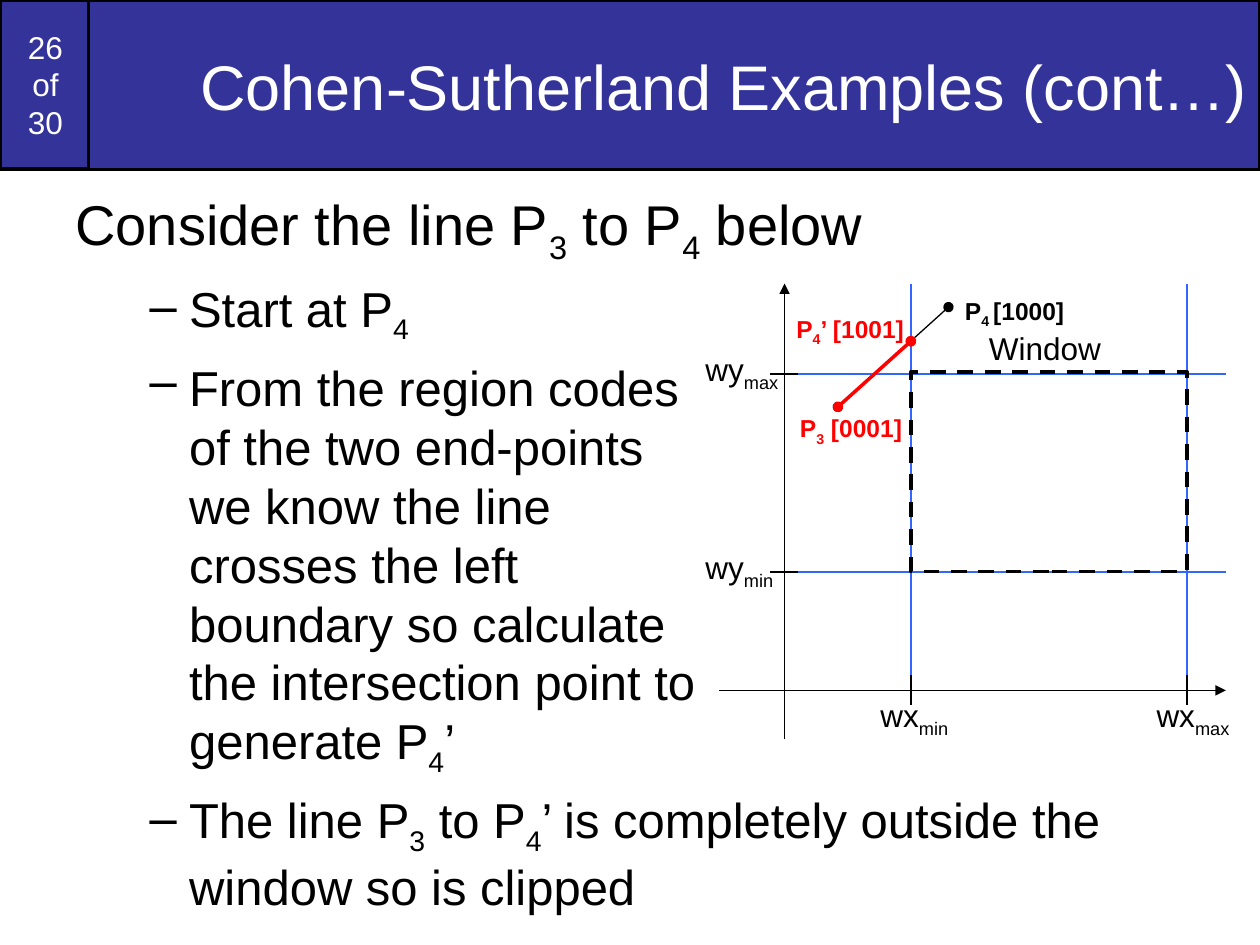
from lxml.etree import SubElement
from pptx import Presentation
from pptx.dml.color import RGBColor
from pptx.enum.dml import MSO_LINE
from pptx.enum.shapes import MSO_CONNECTOR, MSO_SHAPE
from pptx.enum.text import MSO_ANCHOR, MSO_AUTO_SIZE, PP_ALIGN
from pptx.oxml.ns import qn
from pptx.util import Pt

NAVY = RGBColor(0x33, 0x33, 0x99)
BLUE = RGBColor(0x33, 0x66, 0xFF)
RED = RGBColor(0xFF, 0x00, 0x00)
BLACK = RGBColor(0x00, 0x00, 0x00)
WHITE = RGBColor(0xFF, 0xFF, 0xFF)


def write(para, text, size=18, color=BLACK, bold=False, align=PP_ALIGN.LEFT,
          before=0):
    """Fill a paragraph; parts between bars are subscripts, newlines are breaks."""
    para.alignment = align
    para.space_before = Pt(before)
    for part_number, part in enumerate(text.split("|")):
        for line_number, line in enumerate(part.split("\n")):
            if line_number:
                para.add_line_break()
            if not line:
                continue
            span = para.add_run()
            span.text = line
            span.font.name = "Arial"
            span.font.size = Pt(size)
            span.font.bold = bold
            span.font.color.rgb = color
            if part_number % 2:
                span.font._element.set("baseline", "-25000")


def add_dash(para, margin, indent):
    properties = para._p.get_or_add_pPr()
    properties.set("marL", str(Pt(margin)))
    properties.set("indent", str(Pt(indent)))
    SubElement(properties, qn("a:buChar")).set("char", "–")


def place(shape, left, top, width, height):
    shape.left, shape.top = Pt(left), Pt(top)
    shape.width, shape.height = Pt(width), Pt(height)


def paint_banner(shape):
    shape.fill.solid()
    shape.fill.fore_color.rgb = NAVY
    shape.line.color.rgb = BLACK
    shape.line.width = Pt(2)
    frame = shape.text_frame
    frame.word_wrap = True
    frame.auto_size = MSO_AUTO_SIZE.NONE
    frame.vertical_anchor = MSO_ANCHOR.MIDDLE
    return frame.paragraphs[0]


def add_header(page, left, top, width, height):
    # Title
    title = page.shapes.title
    place(title, left + 50.5, top, width - 50.5, height)
    write(paint_banner(title), "Cohen-Sutherland Examples (cont…)", size=36,
          color=WHITE, align=PP_ALIGN.RIGHT)

    # Page counter, behind the title's edge
    counter = page.shapes.add_shape(MSO_SHAPE.RECTANGLE, Pt(left), Pt(top),
                                    Pt(52), Pt(height - 0.5))
    counter.shadow.inherit = False
    write(paint_banner(counter), "26\nof\n30", color=WHITE,
          align=PP_ALIGN.CENTER, before=11.2)
    title.element.addprevious(counter.element)


def add_body(page, left, top, width, height):
    box = page.shapes.add_textbox(Pt(left), Pt(top), Pt(width), Pt(height))
    frame = box.text_frame
    frame.word_wrap = True
    write(frame.paragraphs[0], "Consider the line P|3| to P|4| below",
          size=32, before=8)
    steps = (
        "Start at P|4|",
        "From the region codes\nof the two end-points\nwe know the line\n"
        "crosses the left\nboundary so calculate\n"
        "the intersection point to\ngenerate P|4|’",
        "The line P|3| to P|4|’ is completely outside the window so is clipped",
    )
    for step in steps:
        para = frame.add_paragraph()
        write(para, step, size=28, before=7)
        add_dash(para, 65, -22.5)


def add_plot(page, left, top):
    shapes = page.shapes.add_group_shape().shapes

    def add_line(start, end, color=BLACK, width=0.75, head=None, tail=None):
        line = shapes.add_connector(
            MSO_CONNECTOR.STRAIGHT, Pt(left + start[0]), Pt(top + start[1]),
            Pt(left + end[0]), Pt(top + end[1]))
        line.line.color.rgb = color
        line.line.width = Pt(width)
        outline = line.line._get_or_add_ln()
        for tag, kind in (("a:headEnd", head), ("a:tailEnd", tail)):
            if kind:
                SubElement(outline, qn(tag)).set("type", kind)
        SubElement(line._element.spPr, qn("a:effectLst"))

    def add_label(text, x, y, width, height, **style):
        box = shapes.add_textbox(Pt(left + x), Pt(top + y), Pt(width), Pt(height))
        box.text_frame.word_wrap = False
        write(box.text_frame.paragraphs[0], text, **style)

    def add_outline(kind, x, y, width, height):
        shape = shapes.add_shape(kind, Pt(left + x), Pt(top + y),
                                 Pt(width), Pt(height))
        shape.shadow.inherit = False
        return shape

    x_min, x_max, y_max, y_min = 124.5, 282.3, 51.8, 164.8
    axis_x, axis_y = 52.3, 232.5
    p3, p4, crossing = (82.8, 70.5), (146, 13.5), (x_min, 33)

    # Boundary lines
    for x in (x_min, x_max):
        add_line((x, 0), (x, 227), BLUE)
    for y in (y_max, y_min):
        add_line((304.5, y), (58, y), BLUE)

    # Axes
    add_line((15, axis_y), (304.5, axis_y), tail="triangle")
    add_line((axis_x, 260.5), (axis_x, 0), tail="triangle")

    # Clipping window
    window = add_outline(MSO_SHAPE.RECTANGLE, x_min, y_max - 1.2,
                         x_max - x_min, y_min - y_max + 1)
    window.fill.background()
    window.line.color.rgb = BLACK
    window.line.width = Pt(2.25)
    window.line.dash_style = MSO_LINE.DASH

    # Ticks and their labels
    for y, name, width in ((y_max, "max", 56), (y_min, "min", 53)):
        add_line((axis_x + 7.5, y), (axis_x - 8.5, y))
        add_label(f"wy|{name}|", 0, y - 17.25, width, 31.5)
    for x, name, width in ((x_min, "min", 53), (x_max, "max", 56)):
        add_line((x, axis_y - 8.5), (x, axis_y + 8.5))
        add_label(f"wx|{name}|", x - 24.5, axis_y - 0.5, width, 31.5)
    add_label("Window", 162, 22.5, 78.5, 29)

    # Full line, then its clipped part
    add_line(p3, p4, head="oval", tail="oval")
    dot = add_outline(MSO_SHAPE.OVAL, crossing[0] - 3, crossing[1] - 3, 6, 6)
    dot.fill.solid()
    dot.fill.fore_color.rgb = RED
    dot.line.fill.background()
    add_line(p3, crossing, RED, 2, head="oval", tail="oval")

    # Point labels with region codes
    for text, x, y, width, color in (
            ("P|4|’ [1001]", 52, 13.7, 76, RED),
            ("P|4 |[1000]", 148.3, 3.6, 71, BLACK),
            ("P|3| [0001]", 54, 70.7, 73, RED)):
        add_label(text, x, y, width, 26.5, size=14, color=color, bold=True)


def main():
    deck = Presentation()
    deck.slide_width, deck.slide_height = Pt(720), Pt(540)
    page = deck.slides.add_slide(deck.slide_layouts[5])
    add_header(page, 0, 0, 720, 97)
    add_body(page, 36, 105, 648, 435)
    add_plot(page, 396, 162)
    deck.save("out.pptx")


if __name__ == "__main__":
    main()
